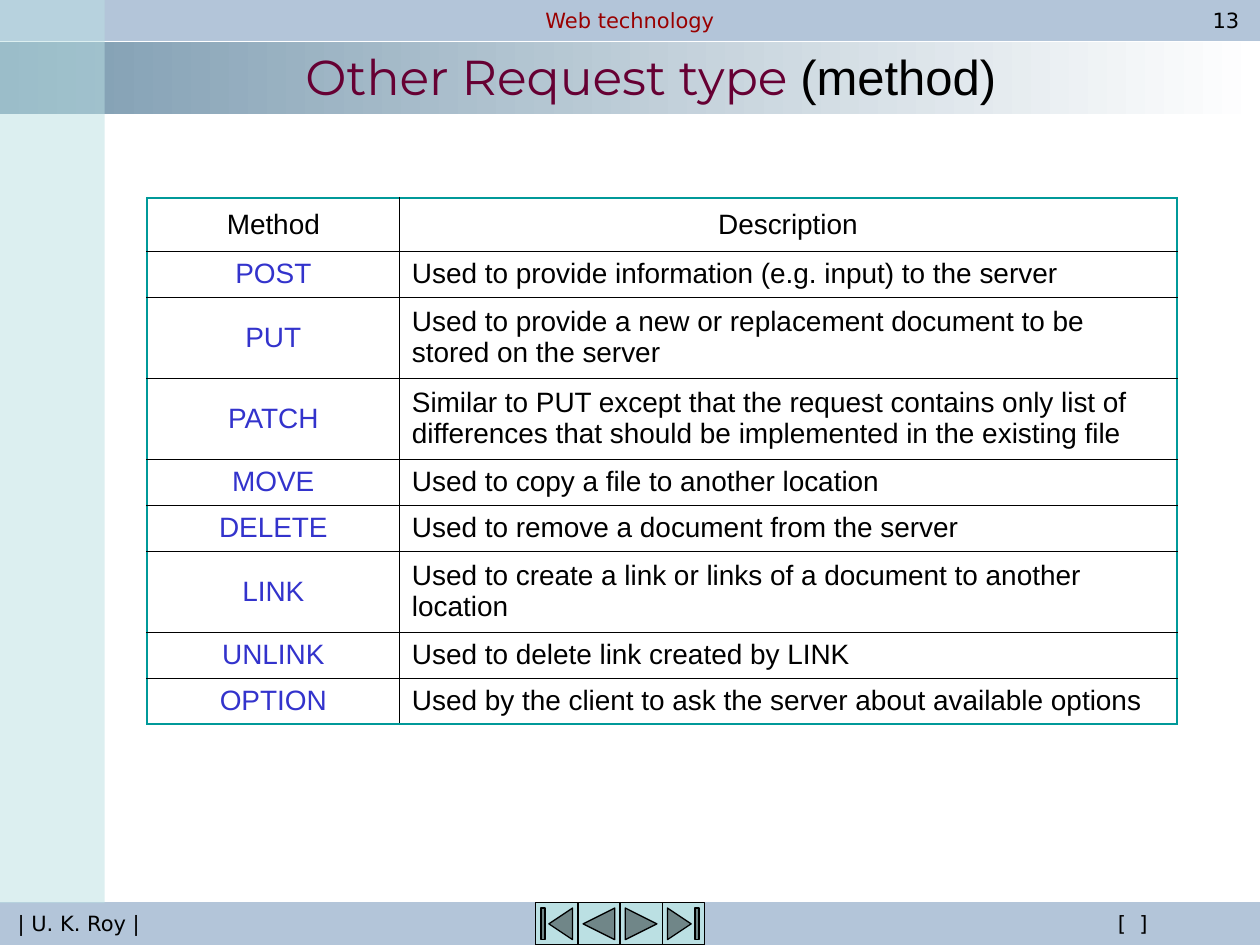
from pptx import Presentation
from pptx.dml.color import RGBColor
from pptx.enum.shapes import MSO_SHAPE
from pptx.enum.text import MSO_ANCHOR, MSO_AUTO_SIZE, PP_ALIGN
from pptx.oxml import parse_xml
from pptx.oxml.ns import nsdecls, qn
from pptx.util import Cm, Pt

RECT, ROUNDED = MSO_SHAPE.RECTANGLE, MSO_SHAPE.ROUNDED_RECTANGLE
BUTTONS = (MSO_SHAPE.ACTION_BUTTON_BEGINNING,
           MSO_SHAPE.ACTION_BUTTON_BACK_OR_PREVIOUS,
           MSO_SHAPE.ACTION_BUTTON_FORWARD_OR_NEXT,
           MSO_SHAPE.ACTION_BUTTON_END)
MIDDLE = MSO_ANCHOR.MIDDLE
CENTER, LEFT = PP_ALIGN.CENTER, PP_ALIGN.LEFT

BLACK, BAR, AQUA, TEAL = "000000", "B3C5D9", "BBE0E3", "009999"
METHOD_BLUE = "3333CC"

ONE_LINE, TWO_LINES, HEADER = 0.93, 1.63, 1.07  # row heights in cm
ROWS = [
    ("Method", "Description", HEADER),
    ("POST", "Used to provide information (e.g. input) to the server", ONE_LINE),
    ("PUT", "Used to provide a new or replacement document to be stored on the server", TWO_LINES),
    ("PATCH", "Similar to PUT except that the request contains only list of differences "
              "that should be implemented in the existing file", TWO_LINES),
    ("MOVE", "Used to copy a file to another location", ONE_LINE),
    ("DELETE", "Used to remove a document from the server", ONE_LINE),
    ("LINK", "Used to create a link or links of a document to another location", TWO_LINES),
    ("UNLINK", "Used to delete link created by LINK", ONE_LINE),
    ("OPTION", "Used by the client to ask the server about available options", ONE_LINE),
]


def color(value):
    return RGBColor.from_string(value)


def set_font(font, name, size, value):
    font.name, font.size = name, Pt(size)
    font.color.rgb = color(value)


def add_text_shadow(span):
    """Put a grey offset shadow behind the letters of one run."""
    effect = parse_xml(
        f'<a:effectLst {nsdecls("a")}><a:outerShdw dist="35921" dir="13500000">'
        '<a:srgbClr val="808080"/></a:outerShdw></a:effectLst>')
    properties = span.font._element if hasattr(span.font, "_element") else span._r.get_or_add_rPr()
    fill = properties.find(qn("a:solidFill"))
    if fill is None:
        properties.insert(0, effect)
    else:
        fill.addnext(effect)


def add_block(page, kind, left, top, width, height, fill=None, line=None):
    block = page.shapes.add_shape(kind, Cm(left), Cm(top), Cm(width), Cm(height))
    block.shadow.inherit = False
    if fill:
        block.fill.solid()
        block.fill.fore_color.rgb = color(fill)
    else:
        block.fill.background()
    if line:
        block.line.color.rgb = color(line)
        block.line.width = Pt(0.75)
    else:
        block.line.fill.background()
    return block


def add_label(page, text, left, top, width, value=BLACK, shadow=False):
    box = add_block(page, ROUNDED, left, top, width, 0.81)
    box.adjustments[0] = 0.47
    frame = box.text_frame
    frame.word_wrap = False
    frame.vertical_anchor = MIDDLE
    para = frame.paragraphs[0]
    para.alignment = CENTER
    set_font(para.font, "DejaVu Sans", 12, value)
    span = para.add_run()
    span.text = text
    # The shape style's white text is overridden on the run as well
    span.font.color.rgb = color(value)
    if shadow:
        add_text_shadow(span)


def add_title_band(page):
    band = add_block(page, RECT, 0, 0.84, 25.4, 1.47, BAR)
    band.fill.gradient()
    band.fill.gradient_angle = 0
    for stop, position, value in zip(band.fill.gradient_stops, (0, 1), ("7C9BB0", "FFFFFF")):
        stop.position = position
        stop.color.rgb = color(value)


def add_side_panel(page):
    panel = add_block(page, RECT, 0, 0, 2.11, 18.21, AQUA)
    tint = panel.fill._xPr.find(qn("a:solidFill"))[0]
    tint.append(parse_xml(f'<a:alpha {nsdecls("a")} val="50000"/>'))


def fill_title(page):
    title = page.shapes.title
    title.left, title.top, title.width, title.height = Cm(2.11), Cm(0.33), Cm(22.02), Cm(2.41)
    frame = title.text_frame
    frame.auto_size = MSO_AUTO_SIZE.NONE
    frame.vertical_anchor = MIDDLE
    para = frame.paragraphs[0]
    para.alignment = CENTER
    for text, name, value in (("Other Request type ", "Montserrat", "660033"),
                              ("(method)", "Arial", BLACK)):
        span = para.add_run()
        span.text = text
        set_font(span.font, name, 28, value)
        add_text_shadow(span)
    # Bring the title in front of the bands
    title.element.getparent().append(title.element)


def set_borders(cell, outer_sides):
    properties = cell._tc.get_or_add_tcPr()
    for index, side in enumerate("LRTB"):
        value, points = (TEAL, 1.47) if side in outer_sides else (BLACK, 0.45)
        properties.insert(index, parse_xml(
            f'<a:ln{side} {nsdecls("a")} w="{int(Pt(points))}"><a:solidFill>'
            f'<a:srgbClr val="{value}"/></a:solidFill></a:ln{side}>'))


def add_method_table(page):
    height = sum(row[2] for row in ROWS)
    table = page.shapes.add_table(len(ROWS), 2, Cm(2.97), Cm(3.99), Cm(20.75), Cm(height)).table
    table.first_row = table.horz_banding = False
    table.columns[0].width, table.columns[1].width = Cm(5.08), Cm(15.67)
    last = len(ROWS) - 1
    for row, (method, description, row_height) in enumerate(ROWS):
        table.rows[row].height = Cm(row_height)
        for column, text in enumerate((method, description)):
            cell = table.cell(row, column)
            cell.text = text
            cell.vertical_anchor = MIDDLE
            cell.fill.background()
            para = cell.text_frame.paragraphs[0]
            para.alignment = CENTER if row == 0 or column == 0 else LEFT
            set_font(para.font, "Arial", 16, METHOD_BLUE if row and column == 0 else BLACK)
            outer = "LR"[column] + ("T" if row == 0 else "") + ("B" if row == last else "")
            set_borders(cell, outer)


def main():
    deck = Presentation()
    deck.slide_width, deck.slide_height = Cm(25.4), Cm(19.05)
    page = deck.slides.add_slide(deck.slide_layouts[5])

    # Bands and their labels
    add_title_band(page)
    add_block(page, RECT, 0, 0, 25.4, 0.81, BAR, BAR)
    add_label(page, "Web technology", 8.89, 0, 7.62, "990000")
    add_block(page, RECT, 0, 18.19, 25.4, 0.84, BAR, BAR)
    add_label(page, "| U. K. Roy |", 0, 18.21, 3.18)
    add_label(page, "[  ]", 20.32, 18.21, 5.03, shadow=True)

    # Navigation buttons
    for index, kind in enumerate(BUTTONS):
        add_block(page, kind, 10.8 + 0.85 * index, 18.2, 0.85, 0.85, AQUA, BLACK)

    add_label(page, "13", 24.08, 0, 1.27)
    add_side_panel(page)

    # Title and table
    fill_title(page)
    add_method_table(page)
    deck.save("out.pptx")


if __name__ == "__main__":
    main()
